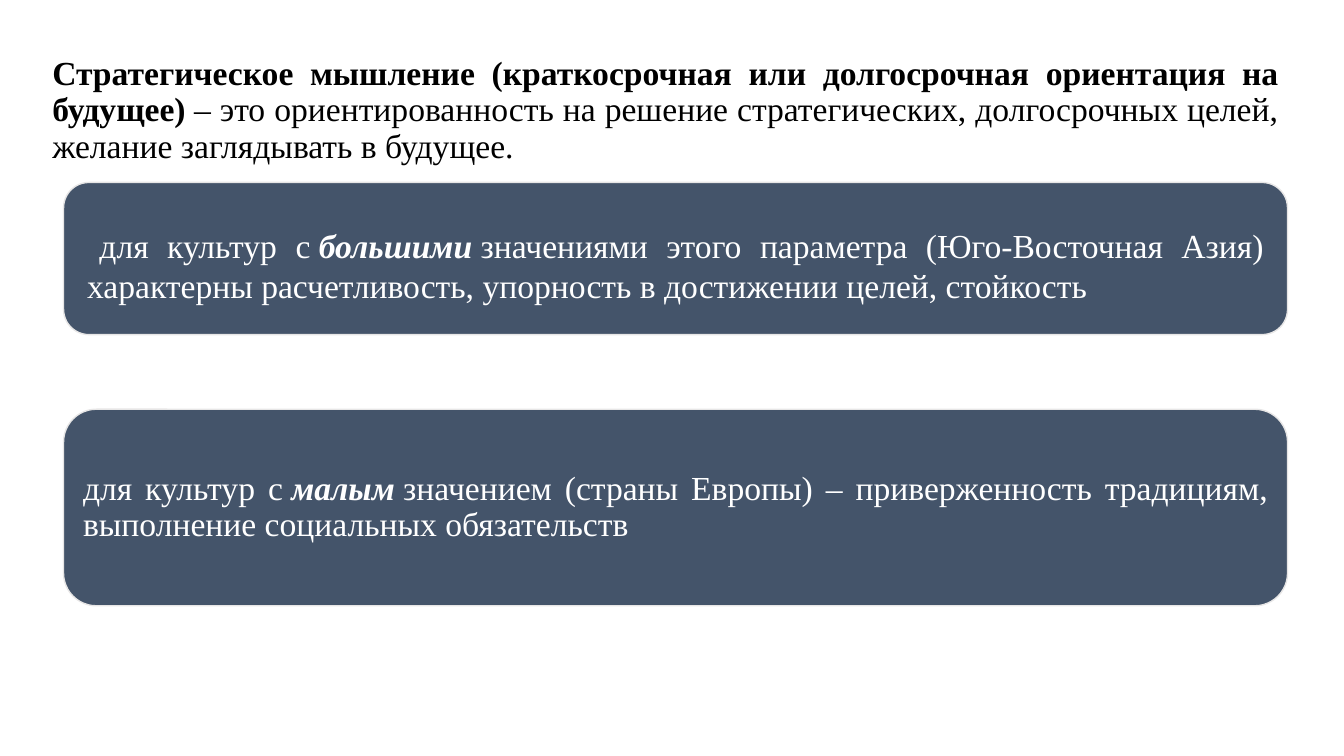
from dataclasses import dataclass

from pptx import Presentation
from pptx.dml.color import RGBColor
from pptx.enum.shapes import MSO_SHAPE
from pptx.enum.text import MSO_ANCHOR, PP_ALIGN
from pptx.util import Inches, Pt

ROUNDED = MSO_SHAPE.ROUNDED_RECTANGLE
MIDDLE = MSO_ANCHOR.MIDDLE
JUSTIFY = PP_ALIGN.JUSTIFY


@dataclass(frozen=True)
class Theme:
    ink = RGBColor(0, 0, 0)
    panel = RGBColor(0x44, 0x54, 0x6A)
    panel_edge = RGBColor(0xE7, 0xE6, 0xE6)
    panel_text = RGBColor(0xFF, 0xFF, 0xFF)
    font = "Times New Roman"
    lead_font = "Calibri"
    size = Pt(24)
    lead_size = Pt(39)
    edge_width = Pt(1)
    line_spacing = 0.9


theme = Theme()
deck = Presentation()
deck.slide_width, deck.slide_height = Inches(13.33), Inches(7.5)
slide = deck.slides.add_slide(deck.slide_layouts[6])

# Grid: one column or row is a hundredth of the slide
COL, ROW = deck.slide_width / 100, deck.slide_height / 100


def place(left, top, width, height):
    return int(left * COL), int(top * ROW), int(width * COL), int(height * ROW)


def write(frame, color, inset, pieces):
    """Fill a frame with one justified paragraph of (text, bold, italic)."""
    frame.word_wrap = True
    frame.vertical_anchor = MIDDLE
    frame.margin_left = frame.margin_right = inset
    frame.margin_top = frame.margin_bottom = inset
    paragraph = frame.paragraphs[0]
    paragraph.alignment = JUSTIFY
    paragraph.line_spacing = theme.line_spacing
    paragraph.font.name = theme.font
    paragraph.font.size = theme.size
    paragraph.font.color.rgb = color
    for text, bold, italic in pieces:
        run = paragraph.add_run()
        run.text = text
        run.font.bold, run.font.italic = bold, italic
    return paragraph


# Definition
definition = slide.shapes.add_textbox(*place(3.15, 3.07, 92.72, 23.2))
write(definition.text_frame, theme.ink, Inches(0.1), [
    ("Стратегическое мышление (краткосрочная или долгосрочная ориентация "
     "на будущее)", True, False),
    ("\u00a0– это ориентированность на решение стратегических, долгосрочных "
     "целей, желание заглядывать в будущее.", False, False),
])

# Panels: top, height, inset, lead space, opening, emphasis, rest
cultures = [
    (24.13, 20.13, 0.16, "\u00a0", "для культур с\u00a0", "большими",
     "\u00a0значениями этого параметра (Юго-Восточная Азия) характерны "
     "расчетливость, упорность в достижении целей, стойкость"),
    (54.13, 26, 0.1, "", "для культур с\u00a0", "малым",
     "\u00a0значением (страны Европы) – приверженность традициям, "
     "выполнение социальных обязательств"),
]
for top, height, inset, lead, opening, emphasis, rest in cultures:
    panel = slide.shapes.add_shape(ROUNDED, *place(4.73, top, 91.07, height))
    panel.shadow.inherit = False
    panel.fill.solid()
    panel.fill.fore_color.rgb = theme.panel
    panel.line.color.rgb = theme.panel_edge
    panel.line.width = theme.edge_width
    pieces = [(lead, False, False)] if lead else []
    pieces += [(opening, False, False), (emphasis, True, True),
               (rest, False, False)]
    statement = write(panel.text_frame, theme.panel_text, Inches(inset), pieces)
    if lead:
        statement.runs[0].font.name = theme.lead_font
        statement.runs[0].font.size = theme.lead_size

deck.save("out.pptx")
